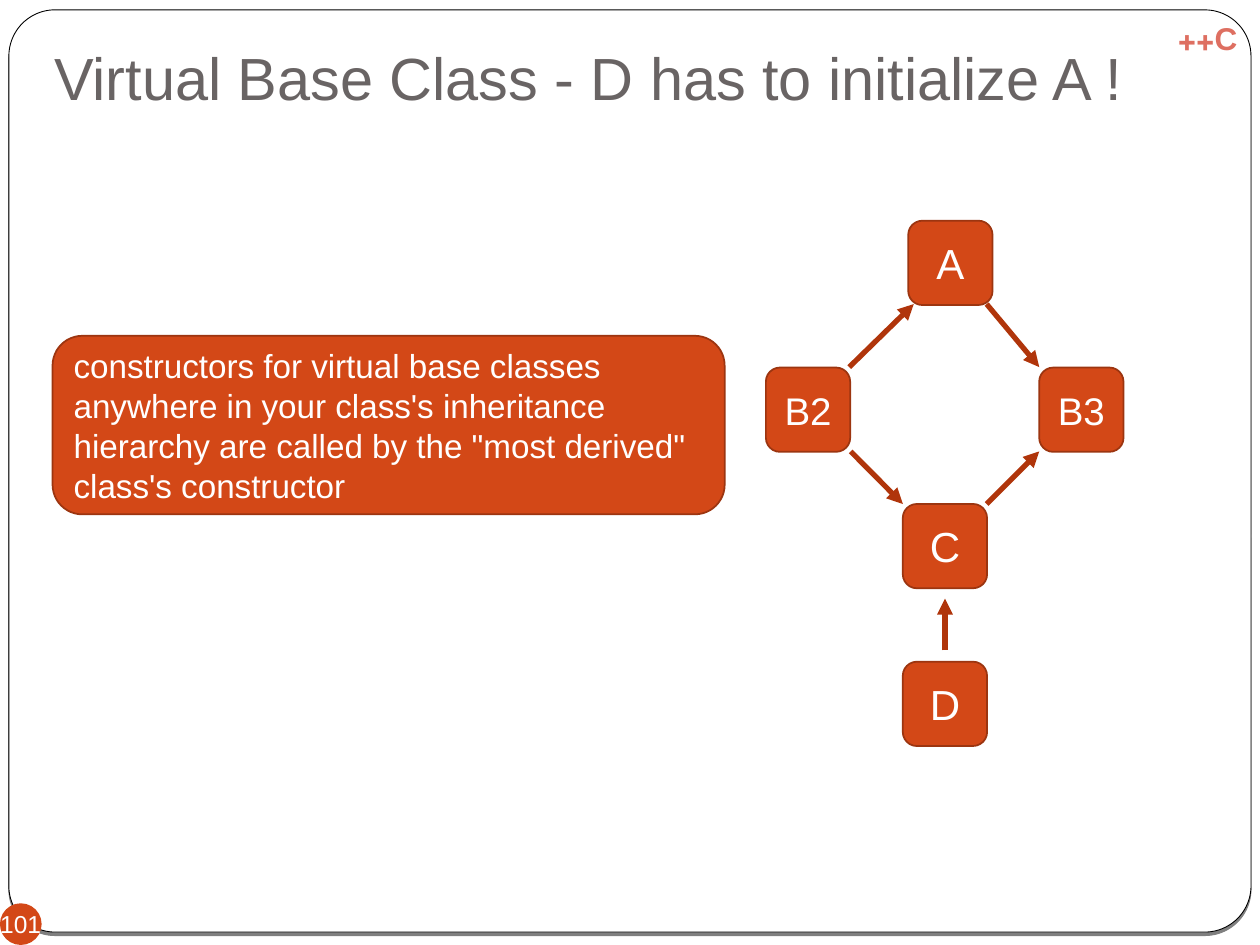
import pptx
import pptx.util
import pptx.dml.color
import pptx.enum.shapes
import pptx.enum.text
import pptx.oxml
import pptx.oxml.ns

Cm = pptx.util.Cm
Pt = pptx.util.Pt
RGBColor = pptx.dml.color.RGBColor
SHAPE = pptx.enum.shapes.MSO_SHAPE
ALIGN = pptx.enum.text.PP_ALIGN
ANCHOR = pptx.enum.text.MSO_ANCHOR

WHITE = RGBColor(0xFF, 0xFF, 0xFF)
BLACK = RGBColor(0, 0, 0)
ORANGE = RGBColor(0xD3, 0x48, 0x17)
RUST = RGBColor(0x9C, 0x35, 0x10)
ARROW_RED = RGBColor(0xB0, 0x35, 0x0B)
TITLE_GREY = RGBColor(0x69, 0x64, 0x64)
TAG_PINK = RGBColor(0xDE, 0x6F, 0x61)
NAMESPACE = pptx.oxml.ns.nsdecls("a")


def add_shape(kind, left, top, width, height, fill, line=None, weight=1):
    shape = page.shapes.add_shape(kind, Cm(left), Cm(top), Cm(width), Cm(height))
    shape.shadow.inherit = False
    shape.fill.solid()
    shape.fill.fore_color.rgb = fill
    if line is None:
        shape.line.fill.background()
    else:
        shape.line.color.rgb = line
        shape.line.width = Pt(weight)
    return shape


def write(box, text, size, color, align=ALIGN.CENTER, bold=False, **frame_format):
    frame = box.text_frame
    settings = {"word_wrap": True, "vertical_anchor": ANCHOR.MIDDLE, **frame_format}
    for name, value in settings.items():
        setattr(frame, name, value)
    para = frame.paragraphs[0]
    para.alignment = align
    span = para.add_run()
    span.text = text
    span.font.color.rgb = color
    for name, value in {"name": "Arial", "size": Pt(size), "bold": bold}.items():
        setattr(span.font, name, value)
    return para


deck = pptx.Presentation()
deck.slide_width, deck.slide_height = Cm(25.4), Cm(19.05)
page = deck.slides.add_slide(deck.slide_layouts[6])

# Backdrop and rounded panel with a soft lower shadow
add_shape(SHAPE.RECTANGLE, 0, 0, 25.4, 19.05, WHITE)
panel = add_shape(SHAPE.ROUNDED_RECTANGLE, 0.18, 0.2, 25.04, 18.59, WHITE, BLACK, 0.5)
panel.adjustments[0] = 0.05
effects = panel._element.spPr.find(pptx.oxml.ns.qn("a:effectLst"))
effects.append(pptx.oxml.parse_xml(
    f'<a:outerShdw {NAMESPACE} dist="25400" dir="5400000">'
    '<a:srgbClr val="000000"><a:alpha val="50000"/></a:srgbClr></a:outerShdw>'))

# Corner tag, set right to left
tag = page.shapes.add_textbox(Cm(23.29), Cm(0.25), Cm(2.11), Cm(1.02))
tag_para = write(tag, "C++", 18, TAG_PINK, bold=True, vertical_anchor=ANCHOR.TOP)
tag_para._p.get_or_add_pPr().set("rtl", "1")

# Title
title = page.shapes.add_textbox(Cm(0.84), Cm(0.76), Cm(23.7), Cm(1.78))
title_para = write(title, "Virtual Base Class - D has to initialize A !", 34, TITLE_GREY,
                   ALIGN.LEFT, vertical_anchor=ANCHOR.BOTTOM, margin_bottom=Cm(0.25))
title_para.line_spacing = 0.9

# Page number
badge = add_shape(SHAPE.OVAL, 0, 18.21, 0.84, 0.84, ORANGE)
write(badge, "101", 14, WHITE, word_wrap=False,
      margin_left=0, margin_right=0, margin_top=0, margin_bottom=0)

# Class boxes: name, left, top, text size
SIDE = 1.7
CLASSES = [
    ("A", 18.31, 4.45, 24),
    ("B2", 15.44, 7.41, 22),
    ("B3", 20.95, 7.41, 22),
    ("C", 18.2, 10.16, 24),
    ("D", 18.2, 13.34, 24),
]
for name, left, top, size in CLASSES:
    class_box = add_shape(SHAPE.ROUNDED_RECTANGLE, left, top, SIDE, SIDE, ORANGE, RUST)
    write(class_box, name, size, WHITE)

# Inheritance arrows: start x, start y, end x, end y
ARROWS = [
    (17.12, 7.4, 18.42, 6.13),
    (19.89, 10.16, 20.95, 9.1),
    (19.89, 6.13, 20.95, 7.4),
    (17.15, 9.1, 18.2, 10.16),
    (19.05, 13.11, 19.05, 12.07),
]
for ends in ARROWS:
    arrow = page.shapes.add_connector(
        pptx.enum.shapes.MSO_CONNECTOR.STRAIGHT, *[Cm(value) for value in ends])
    arrow.line.color.rgb = ARROW_RED
    arrow.line.width = Pt(3)
    arrow.line._get_or_add_ln().append(
        pptx.oxml.parse_xml(f'<a:tailEnd {NAMESPACE} type="triangle"/>'))
    arrow._element.spPr.append(pptx.oxml.parse_xml(f"<a:effectLst {NAMESPACE}/>"))

# Explanation
callout = add_shape(SHAPE.ROUNDED_RECTANGLE, 1.06, 6.77, 13.55, 3.6, ORANGE, RUST)
write(callout, "constructors for virtual base classes anywhere in your class's inheritance "
      "hierarchy are called by the \"most derived\" class's constructor",
      19, WHITE, ALIGN.LEFT)

deck.save("out.pptx")
